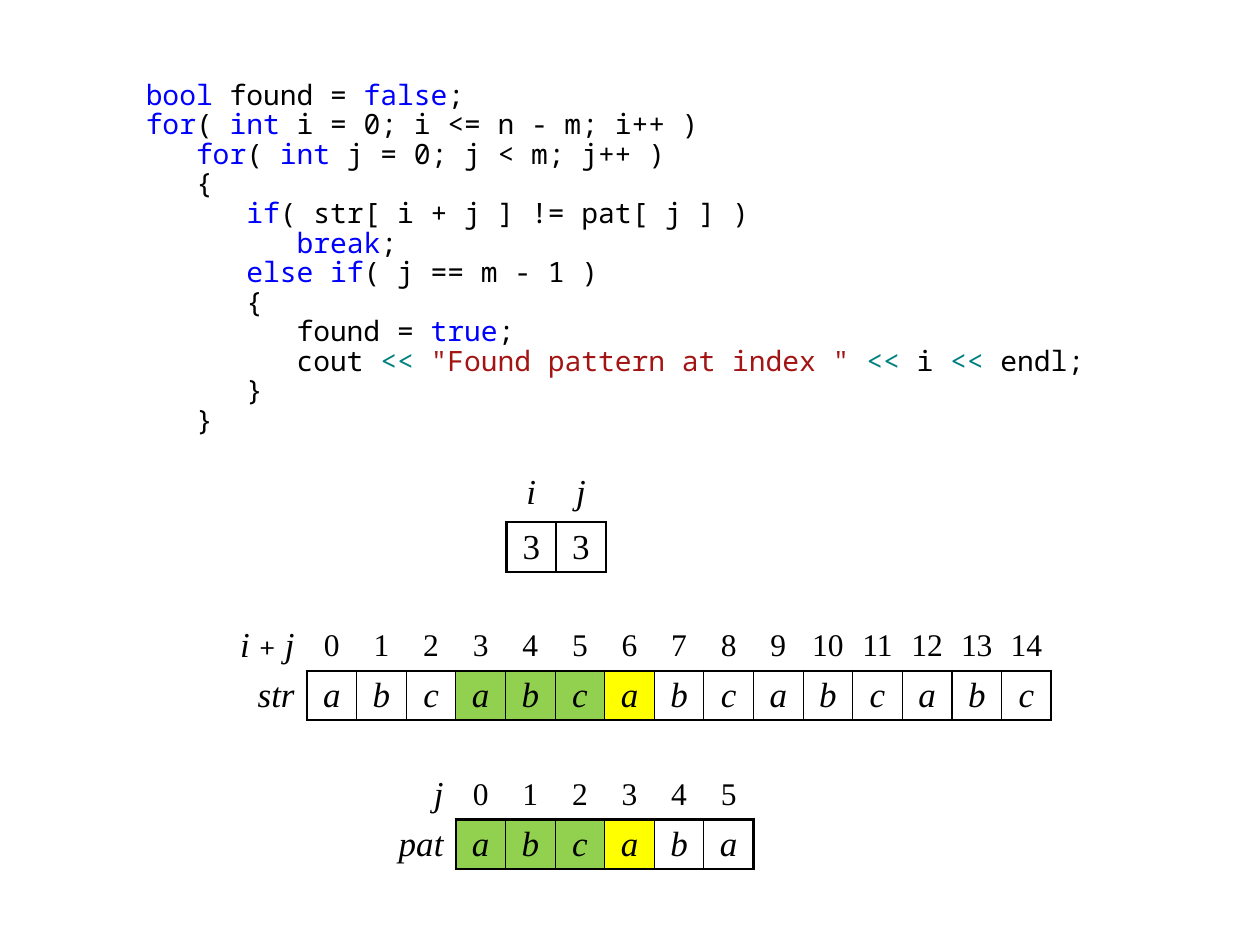
from lxml import etree
from pptx import Presentation, util as u
from pptx.dml.color import RGBColor
from pptx.enum import text as t
from pptx.oxml import ns

BLACK, BLUE, TEAL, RED = "000000", "0000FF", "008080", "A31515"
WHITE, GREEN, GOLD = "FFFFFF", "92D050", "FFFF00"
SERIF, MONO = "Times New Roman", "Noto Sans Mono"
PLAIN = "{2D5ABB26-0587-4C30-8999-92F81FD0307C}"  # table style without lines


def hue(code):
    return RGBColor.from_string(code)


def write(par, words, size, font=SERIF, slant=False, color=BLACK):
    run = par.add_run()
    run.text = words
    run.font.size = u.Pt(size)
    run.font.name = font
    run.font.italic = slant
    run.font.color.rgb = hue(color)


deck = Presentation()
deck.slide_width, deck.slide_height = u.Cm(25.4), u.Cm(19.05)
slide = deck.slides.add_slide(deck.slide_layouts[6])

# Program listing: plain strings are black, pairs carry a colour
code = [
    [("bool ", BLUE), "found = ", ("false", BLUE), ";"],
    [("for", BLUE), "( ", ("int", BLUE), " i = 0; i <= n - m; i++ )"],
    ["   ", ("for", BLUE), "( ", ("int", BLUE), " j = 0; j < m; j++ )"],
    ["   {"],
    ["      ", ("if", BLUE), "( str[ i + j ] != pat[ j ] )"],
    ["         ", ("break", BLUE), ";"],
    ["      ", ("else if", BLUE), "( j == m - 1 )"],
    ["      {"],
    ["         found = ", ("true", BLUE), ";"],
    ["         cout ", ("<< ", TEAL), ('"Found pattern at index " ', RED),
     ("<<", TEAL), " i ", ("<<", TEAL), " endl;"],
    ["      }"],
    ["   }"],
]
box = slide.shapes.add_textbox(u.Cm(2.69), u.Cm(1.52), u.Cm(19.5), u.Cm(8.5))
frame = box.text_frame
frame.word_wrap = False
for n, line in enumerate(code):
    par = frame.paragraphs[0] if n == 0 else frame.add_paragraph()
    par.line_spacing = 0.88
    for part in line:
        words, color = (part, BLACK) if isinstance(part, str) else part
        write(par, words, 16, MONO, color=color)

# Arrays: left, top, label width, labels, heads, values, fills, side inset, inner line
sum_label = [("i ", 20, SERIF, True), ("+", 18, "Cambria", False),
             (" ", 20, SERIF, False), ("j", 20, SERIF, True)]
grids = [
    (4.19, 12.52, 2, [sum_label, [("str", 20, SERIF, True)]], range(15), "abc" * 5,
     [WHITE] * 3 + [GREEN] * 3 + [GOLD] + [WHITE] * 8, 0.1, 0.75),
    (10.21, 9.53, 0, [], "ij", "33", [None] * 2, 0.2, 1.5),
    (7.69, 15.52, 1.5, [[("j", 20, SERIF, True)], [("pat", 20, SERIF, True)]],
     range(6), "abcaba", [GREEN] * 3 + [GOLD] + [WHITE] * 2, 0.25, 0.75),
]
for left, top, wide, labels, heads, values, fills, inset, inner in grids:
    count, first = len(values), len(labels) // 2
    shape = slide.shapes.add_table(2, count + first, u.Cm(left), u.Cm(top),
                                   u.Cm(count + wide), u.Cm(2))
    table = shape.table
    table.first_row = table.horz_banding = False
    table._tbl.tblPr.find(ns.qn("a:tableStyleId")).text = PLAIN
    for row in table.rows:
        row.height = u.Cm(1)
    for c, col in enumerate(table.columns):
        col.width = u.Cm(wide if c < first else 1)

    for r in range(2):
        for c in range(count + first):
            cell, k = table.cell(r, c), c - first
            par = cell.text_frame.paragraphs[0]
            par.alignment = t.PP_ALIGN.CENTER
            cell.vertical_anchor = t.MSO_ANCHOR.MIDDLE
            cell.margin_top = cell.margin_bottom = 0
            cell.margin_left = cell.margin_right = u.Cm(inset)
            if k < 0:
                par.alignment = t.PP_ALIGN.RIGHT
                cell.margin_left = cell.margin_right = u.Cm(0.25)
                for part in labels[r]:
                    write(par, *part)
            elif r == 0:
                named = not labels
                write(par, str(heads[k]), 20 if named else 18, slant=named)
                if named:
                    cell.vertical_anchor = t.MSO_ANCHOR.TOP
                    cell.margin_left = cell.margin_right = 0
            else:
                write(par, values[k], 20, slant=values[k].isalpha())
                sides = {"L": inner if k else 1.5,
                         "R": inner if k < count - 1 else 1.5, "T": 1.5, "B": 1.5}
                for side, width in sides.items():
                    edge = etree.SubElement(cell._tc.get_or_add_tcPr(),
                                            ns.qn("a:ln" + side), w=str(u.Pt(width)))
                    solid = etree.SubElement(edge, ns.qn("a:solidFill"))
                    etree.SubElement(solid, ns.qn("a:srgbClr"), val=BLACK)
            if r == 1 and k >= 0 and fills[k]:
                cell.fill.solid()
                cell.fill.fore_color.rgb = hue(fills[k])
            else:
                cell.fill.background()

deck.save("out.pptx")
